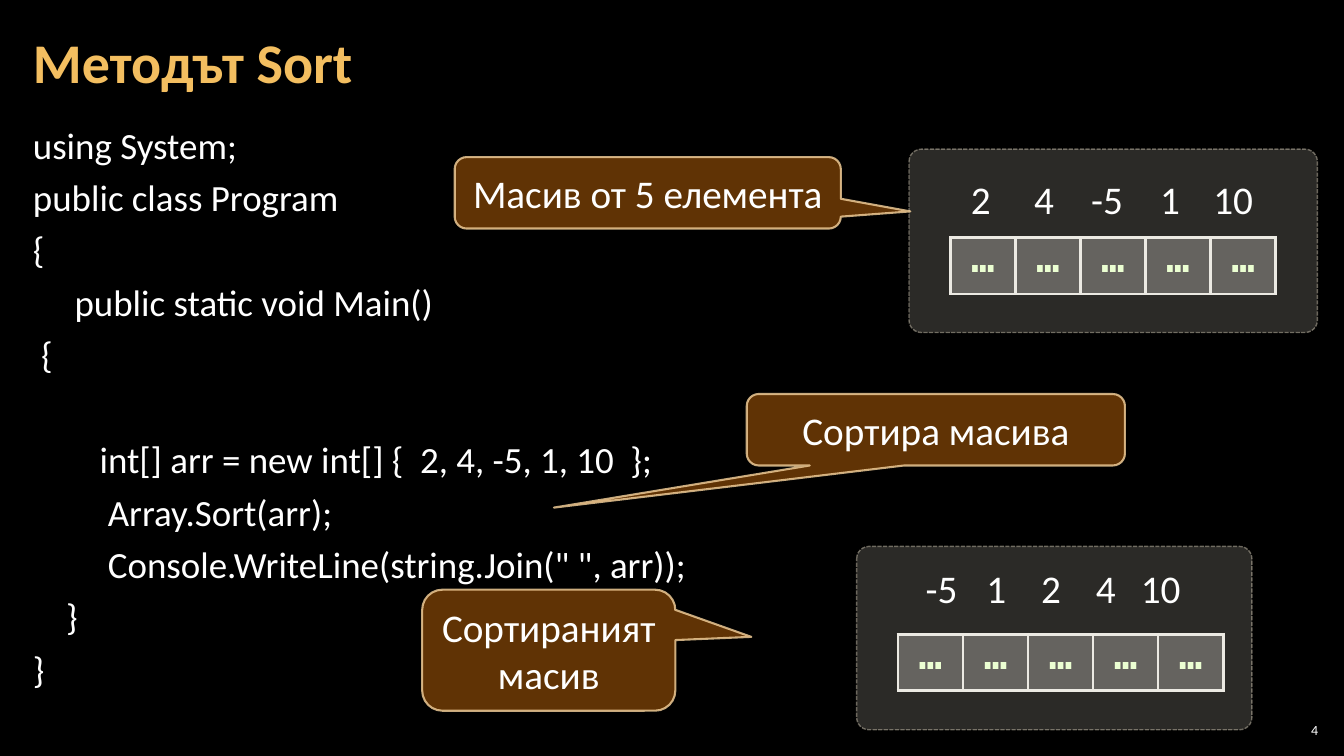
from dataclasses import dataclass

from lxml import etree
from pptx import Presentation
from pptx.dml.color import RGBColor
from pptx.enum import dml, shapes, text
from pptx.oxml.ns import qn
from pptx.util import Cm, Pt


@dataclass(frozen=True)
class Theme:
    font: str = "Calibri"
    mono: str = "DejaVu Sans Mono"
    background: str = "000000"
    title: str = "F3BE60"
    white: str = "FFFFFF"
    panel: str = "D9D5C7"
    panel_line: str = "C7BFAC"
    callout: str = "663606"
    callout_line: str = "F8D49E"
    cell: str = "ECEAE3"
    dots: str = "EBFFD2"
    title_size: float = 40
    code_size: float = 26.4
    label_size: float = 28
    page_size: float = 10


T = Theme()
LEFT, WIDTH = 0.53, 32.79
MARGIN = (0.3, 0.1, 0.3, 0.1)
CELL_WIDTH, CELL_HEIGHT = 1.64, 1.42
NUMBERS_WIDTH = 8.2
CODE_GAP = 44  # points before a line that follows an empty one
CODE = """using System;
public class Program
{
     public static void Main()
 {

        int[] arr = new int[] {  2, 4, -5, 1, 10  };
         Array.Sort(arr);
         Console.WriteLine(string.Join(" ", arr));
    }
}"""


def rgb(color):
    return RGBColor.from_string(color)


def set_font(p, size, color=T.white, name=T.font, bold=False):
    for r in p.runs:
        r.font.size, r.font.name, r.font.bold = Pt(size), name, bold
        r.font.color.rgb = rgb(color)


def set_margins(tf, margins):
    tf.margin_left, tf.margin_top, tf.margin_right, tf.margin_bottom = map(Cm, margins)


def set_alpha(element, *percents):
    """Give each colour under the element, in order, its opacity."""
    for color, percent in zip(element.iter(qn("a:srgbClr")), percents):
        etree.SubElement(color, qn("a:alpha"), val=str(percent * 1000))


def add_title(s, title):
    sp = s.shapes.title
    sp.left, sp.top, sp.width, sp.height = map(Cm, (LEFT, 0.1, WIDTH, 3.07))
    tf = sp.text_frame
    tf.text = title
    tf.vertical_anchor = text.MSO_ANCHOR.MIDDLE
    set_margins(tf, MARGIN)
    p = tf.paragraphs[0]
    p.alignment, p.line_spacing = text.PP_ALIGN.LEFT, 0.9
    set_font(p, T.title_size, T.title, bold=True)


def add_text(s, content, box):
    tf = s.shapes.add_textbox(*map(Cm, box)).text_frame
    tf.word_wrap = True
    tf.text = content
    return tf


def add_code(s, code, box):
    lines = code.split("\n")
    tf = add_text(s, "\n".join(filter(None, lines)), box)
    set_margins(tf, MARGIN)
    after_empty = [not before for before, line in zip(["-"] + lines, lines) if line]
    for i, (p, gap) in enumerate(zip(tf.paragraphs, after_empty)):
        p.line_spacing, p.space_after = 0.8, Pt(6)
        p.space_before = Pt(CODE_GAP if gap else 6 if i else 0)
        set_font(p, T.code_size)


def add_filled(s, kind, box, adjustments, fill, line, width, alphas):
    sp = s.shapes.add_shape(kind, *map(Cm, box))
    sp.shadow.inherit = False
    for i, value in enumerate(adjustments):
        sp.adjustments[i] = value
    sp.fill.solid()
    sp.fill.fore_color.rgb = rgb(fill)
    sp.line.color.rgb = rgb(line)
    sp.line.width = Pt(width)
    set_alpha(sp._element.spPr, *alphas)
    return sp


def add_panel(s, box):
    sp = add_filled(s, shapes.MSO_SHAPE.ROUNDED_RECTANGLE, box, [0.067],
                    T.panel, T.panel_line, 1, (20, 50))
    sp.line.dash_style = dml.MSO_LINE.SQUARE_DOT


def add_callout(s, label, box, tip):
    sp = add_filled(s, shapes.MSO_SHAPE.ROUNDED_RECTANGULAR_CALLOUT, box,
                    (*tip, 0.167), T.callout, T.callout_line, 1.5, (95, 80))
    tf = sp.text_frame
    tf.word_wrap = True
    tf.vertical_anchor = text.MSO_ANCHOR.MIDDLE
    tf.text = label
    p = tf.paragraphs[0]
    p.alignment = text.PP_ALIGN.CENTER
    set_font(p, T.label_size)


def add_numbers(s, numbers, left, top, first, pitch):
    """Set the numbers on evenly spaced centred tab stops."""
    tf = add_text(s, "".join(f"\t{n}" for n in numbers),
                  (left, top, NUMBERS_WIDTH, 1.45))
    p = tf.paragraphs[0]
    p.alignment = text.PP_ALIGN.LEFT
    tabs = etree.SubElement(p._p.get_or_add_pPr(), qn("a:tabLst"))
    for i in range(len(numbers)):
        etree.SubElement(tabs, qn("a:tab"), pos=str(Cm(first + i * pitch)), algn="ctr")
    set_font(p, T.label_size)


def set_borders(cell):
    tc_pr = cell._tc.get_or_add_tcPr()
    for i, side in enumerate(("a:lnL", "a:lnR", "a:lnT", "a:lnB")):
        ln = etree.Element(qn(side), w=str(Pt(2.25)))
        fill = etree.SubElement(ln, qn("a:solidFill"))
        etree.SubElement(fill, qn("a:srgbClr"), val=T.cell)
        tc_pr.insert(i, ln)


def add_cells(s, count, left, top):
    box = (left, top, CELL_WIDTH * count, CELL_HEIGHT)
    table = s.shapes.add_table(1, count, *map(Cm, box)).table
    table.first_row = table.horz_banding = False
    for cell in table.iter_cells():
        cell.fill.solid()
        cell.fill.fore_color.rgb = rgb(T.cell)
        set_alpha(cell._tc.get_or_add_tcPr(), 30)
        set_borders(cell)
        cell.vertical_anchor = text.MSO_ANCHOR.MIDDLE
        cell.text = "…"
        p = cell.text_frame.paragraphs[0]
        p.alignment, p.line_spacing = text.PP_ALIGN.CENTER, 0.5
        set_font(p, T.label_size, T.dots, T.mono, bold=True)


def add_page_number(s, number):
    tf = add_text(s, number, (32.13, 18.14, 1.19, 0.53))
    set_margins(tf, (0.1,) * 4)
    tf.vertical_anchor = text.MSO_ANCHOR.MIDDLE
    p = tf.paragraphs[0]
    p.alignment = text.PP_ALIGN.RIGHT
    set_font(p, T.page_size)


def main():
    prs = Presentation()
    prs.slide_width, prs.slide_height = Cm(33.87), Cm(19.05)
    s = prs.slides.add_slide(prs.slide_layouts[5])
    s.background.fill.solid()
    s.background.fill.fore_color.rgb = rgb(T.background)

    add_title(s, "Методът Sort")
    add_code(s, CODE, (LEFT, 3.2, WIDTH, 15.47))

    unsorted = [2, 4, -5, 1, 10]
    add_panel(s, (22.91, 3.76, 10.29, 4.62))
    add_numbers(s, unsorted, 23.9, 4.29, first=0.57, pitch=1.59)
    add_cells(s, len(unsorted), 23.95, 5.99)

    add_panel(s, (21.59, 13.77, 9.96, 4.62))
    add_numbers(s, sorted(unsorted), 22.45, 14.1, first=1.03, pitch=1.38)
    add_cells(s, len(unsorted), 22.63, 15.98)

    add_callout(s, "Масив от 5 елемента", (11.46, 3.96, 9.73, 1.8), (0.68, 0.26))
    add_callout(s, "Сортира масива", (18.82, 9.93, 9.53, 1.8), (-1.01, 1.09))
    add_callout(s, "Сортираният масив", (10.64, 14.86, 6.38, 3.05), (0.8, -0.11))
    add_page_number(s, "4")
    prs.save("out.pptx")


if __name__ == "__main__":
    main()
